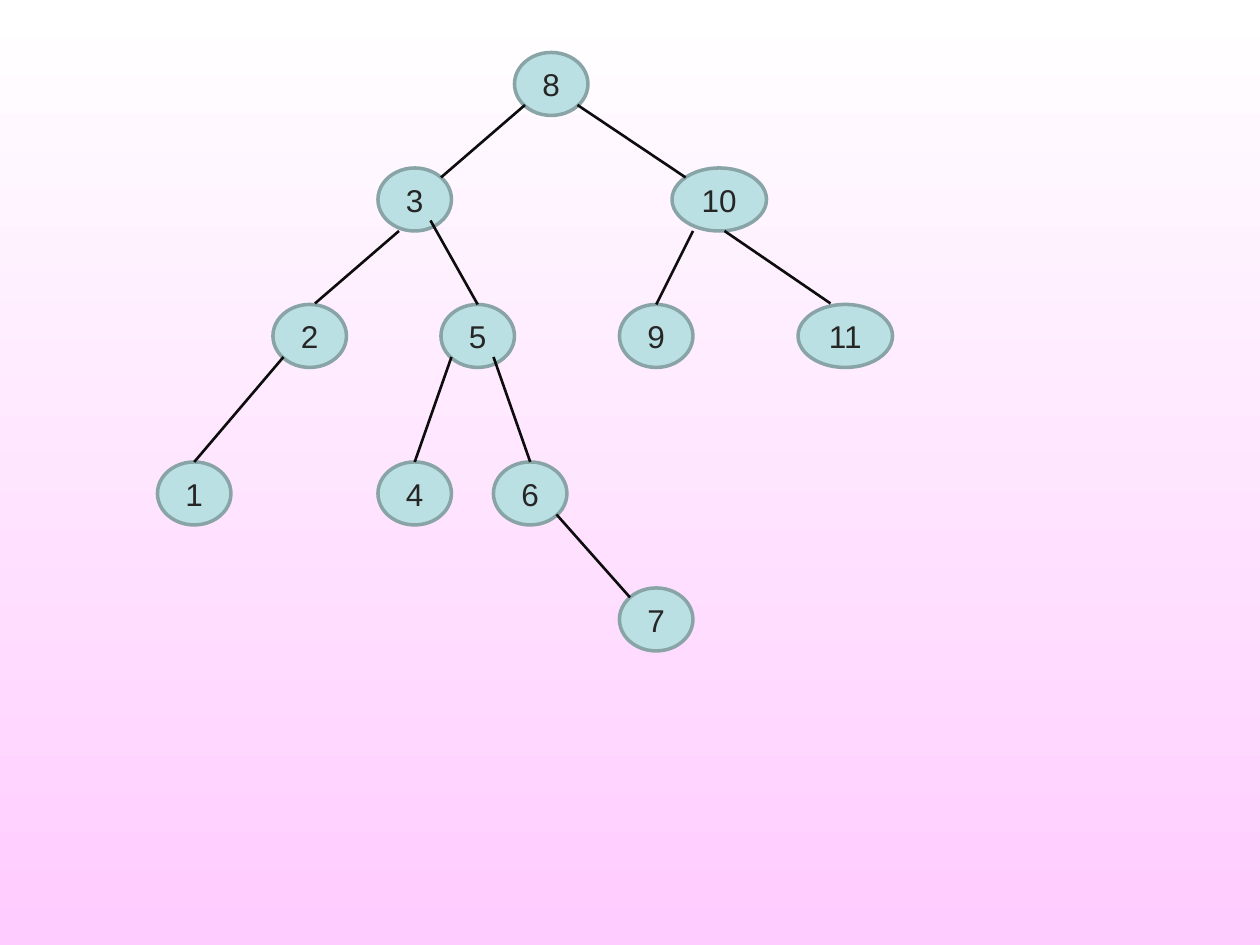
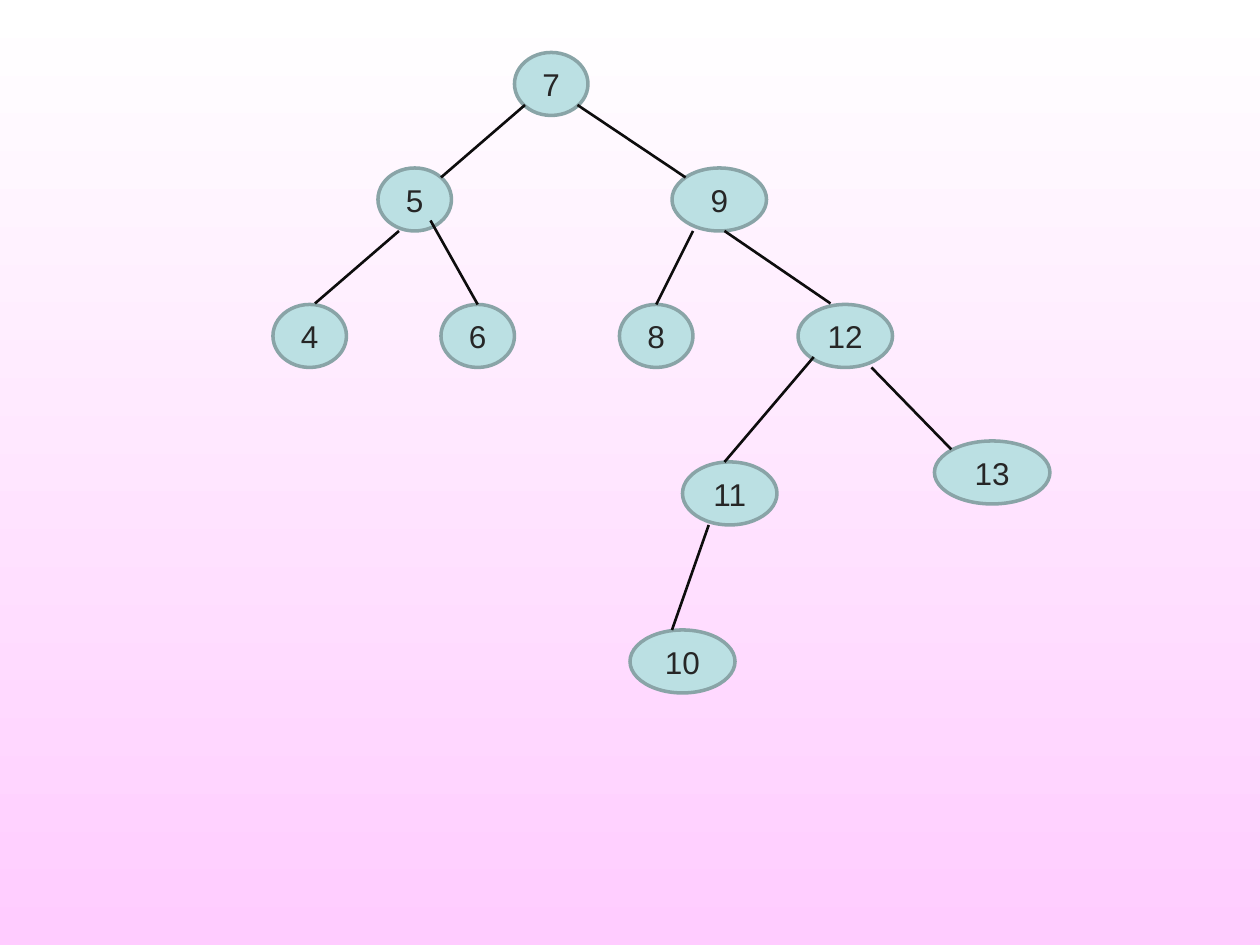
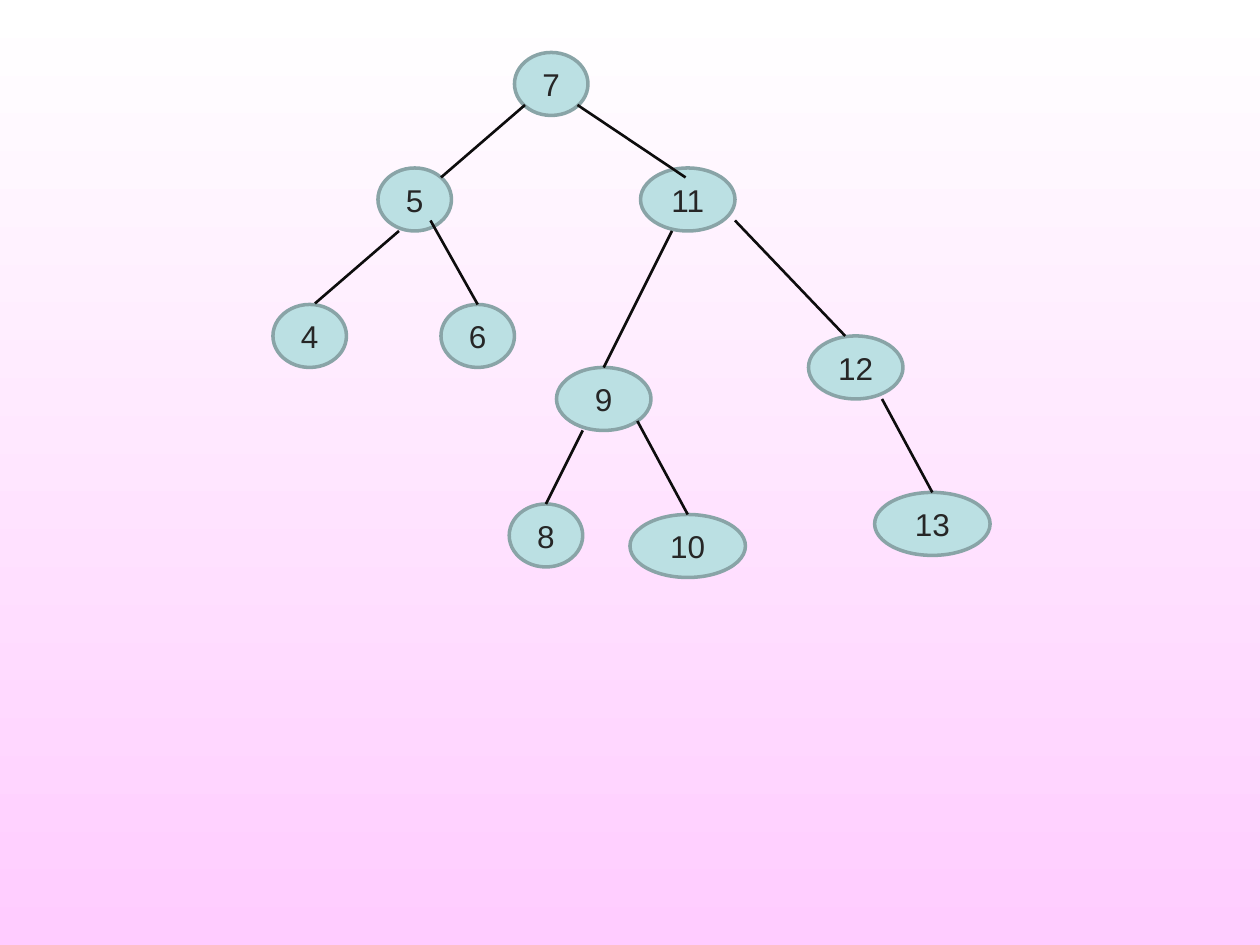
from pptx import Presentation
from pptx.dml.color import RGBColor
from pptx.enum.shapes import MSO_CONNECTOR as Connector, MSO_SHAPE as Preset
from pptx.enum.text import MSO_ANCHOR as Anchor, PP_ALIGN as Align
from pptx.oxml.ns import qn
from pptx.util import Inches, Pt
from lxml.etree import SubElement

COLOURS = {
    "sky": "FFFFFF",
    "ground": "FFCCFF",
    "node": "BBE0E3",
    "rim": "89A4A7",
    "edge": "0D0D0D",
    "key": "262626",
}
KEY_FONT = {"name": "Arial", "size": Pt(18)}

# The slide is a grid of 120 columns and 90 rows, twelve to the inch
CELLS_PER_INCH = 12
COLUMNS, ROWS = 120, 90
NODE_HEIGHT = 6
SLIM, WIDE, BROAD, BROADEST = 7, 9, 10, 11

# Root and left subtree, the same in every tree: (column, row, width)
LEFT_SPOTS = [(49, 5, SLIM), (36, 16, SLIM), (26, 29, SLIM), (42, 29, SLIM)]
LEFT_EDGES = [
    (50, 10, 42, 16.9), (55, 10, 65.3, 16.9),
    (38, 22, 30, 28.9), (41, 21, 45.5, 29),
]
# Right subtree of the first two trees
RIGHT_SPOTS = [(64, 16, WIDE), (59, 29, SLIM), (76, 29, WIDE)]
RIGHT_EDGES = [(69, 22, 79.1, 28.9), (66, 22, 62.5, 29)]

# Keys are listed in the order of the spots
TREES = [
    {
        "keys": [8, 3, 2, 5, 10, 9, 11, 1, 6, 4, 7],
        "spots": LEFT_SPOTS + RIGHT_SPOTS + [
            (15, 44, SLIM), (47, 44, SLIM), (36, 44, SLIM), (59, 56, SLIM)],
        "edges": LEFT_EDGES + RIGHT_EDGES + [
            (27, 34, 18.5, 44), (47, 34, 50.5, 44),
            (43, 34, 39.5, 44), (53, 49, 60, 56.9)],
    },
    {
        "keys": [7, 5, 4, 6, 9, 8, 12, 11, 10, 13],
        "spots": LEFT_SPOTS + RIGHT_SPOTS + [
            (65, 44, WIDE), (60, 60, BROAD), (89, 42, BROADEST)],
        "edges": LEFT_EDGES + RIGHT_EDGES + [
            (77.5, 34, 69, 44), (67.5, 50, 64, 60), (83, 35, 90.6, 42.8)],
    },
    {
        "keys": [7, 5, 4, 6, 9, 8, 12, 11, 10, 13],
        "spots": LEFT_SPOTS + [
            (53, 35, WIDE), (48.5, 48, SLIM), (77, 32, WIDE),
            (61, 16, WIDE), (60, 49, BROADEST), (83.3, 46.9, BROADEST)],
        "edges": LEFT_EDGES + [
            (70, 21, 80.5, 32), (64, 22, 57.5, 35), (55.5, 41, 52, 48),
            (60.7, 40.1, 65.5, 49), (84, 38, 88.8, 46.9)],
    },
]


def colour(name):
    return RGBColor.from_string(COLOURS[name])


def cells(count):
    return Inches(count / CELLS_PER_INCH)


def paint_background(master):
    fill = master.background.fill
    fill.gradient()
    fill.gradient_angle = 270
    for stop, position, name in zip(fill.gradient_stops, (0, 1), ("sky", "ground")):
        stop.position = position
        stop.color.rgb = colour(name)


def set_line(line, name, width):
    line.color.rgb = colour(name)
    line.width = Pt(width)


def add_node(page, key, column, row, width):
    node = page.shapes.add_shape(
        Preset.OVAL, *map(cells, (column, row, width, NODE_HEIGHT)))
    node.shadow.inherit = False
    node.fill.solid()
    node.fill.fore_color.rgb = colour("node")
    set_line(node.line, "rim", 2)
    frame = node.text_frame
    frame.vertical_anchor = Anchor.MIDDLE
    para = frame.paragraphs[0]
    para.alignment = Align.CENTER
    span = para.add_run()
    span.text = str(key)
    for attribute, value in KEY_FONT.items():
        setattr(span.font, attribute, value)
    span.font.color.rgb = colour("key")


def add_edge(page, *ends):
    edge = page.shapes.add_connector(Connector.STRAIGHT, *map(cells, ends))
    set_line(edge.line, "edge", 1.5)
    SubElement(edge._element.spPr, qn("a:effectLst"))


def add_tree(page, tree):
    for key, spot in zip(tree["keys"], tree["spots"]):
        add_node(page, key, *spot)
    for ends in tree["edges"]:
        add_edge(page, *ends)


def main():
    deck = Presentation()
    deck.slide_width, deck.slide_height = cells(COLUMNS), cells(ROWS)
    paint_background(deck.slide_master)
    blank = deck.slide_layouts[6]
    for tree in TREES:
        add_tree(deck.slides.add_slide(blank), tree)
    deck.save("out.pptx")


if __name__ == "__main__":
    main()
